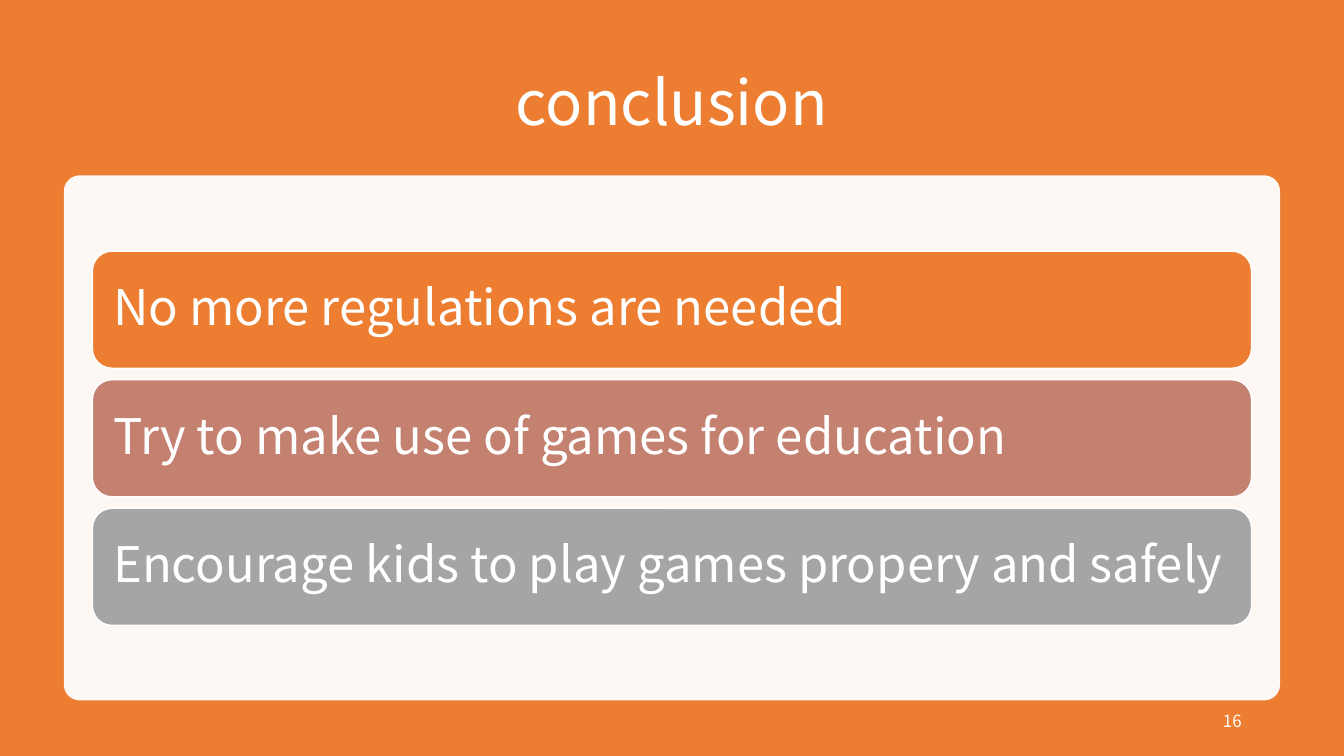
import pptx
import pptx.util
import pptx.dml.color
import pptx.enum.shapes
import pptx.enum.text
from pptx.oxml.ns import qn
from lxml import etree
from pptx.util import Cm

FONT = "Noto Sans CJK JP"
COLORS = {
    "orange": "ED7D31",
    "rose": "C48170",
    "gray": "A5A5A5",
    "white": "FFFFFF",
}
POINTS = [
    ("No more regulations are needed", "orange"),
    ("Try to make use of games for education", "rose"),
    ("Encourage kids to play games propery and safely", "gray"),
]
SHAPE = pptx.enum.shapes.MSO_SHAPE
ALIGN = pptx.enum.text.PP_ALIGN


def rgb(name):
    return pptx.dml.color.RGBColor.from_string(COLORS[name])


def add_box(s, kind, left, top, width, height, color):
    sp = s.shapes.add_shape(kind, Cm(left), Cm(top), Cm(width), Cm(height))
    sp.shadow.inherit = False
    sp.fill.solid()
    sp.fill.fore_color.rgb = rgb(color)
    sp.line.fill.background()
    return sp


def set_alpha(sp, percent):
    clr = sp.fill._xPr.find(qn("a:solidFill"))[0]
    etree.SubElement(clr, qn("a:alpha")).set("val", str(percent * 1000))


def write(sp, text, size, align, spacing=0.9):
    tf = sp.text_frame
    tf.word_wrap = True
    tf.vertical_anchor = pptx.enum.text.MSO_ANCHOR.MIDDLE
    p = tf.paragraphs[0]
    p.alignment = align
    p.line_spacing = spacing
    r = p.add_run()
    r.text = text
    r.font.name = FONT
    r.font.size = pptx.util.Pt(size)
    r.font.color.rgb = rgb("white")


def add_title(s, text):
    sp = s.shapes.title
    sp.left, sp.top, sp.width, sp.height = Cm(2.33), Cm(1.27), Cm(29.21), Cm(2.8)
    write(sp, text, 44, ALIGN.CENTER)


def add_bar(s, top, text, color):
    sp = add_box(s, SHAPE.ROUNDED_RECTANGLE, 2.33, top, 29.21, 2.95, color)
    sp.line.color.rgb = rgb("white")
    sp.line.width = pptx.util.Pt(1)
    tf = sp.text_frame
    tf.margin_left = tf.margin_right = Cm(0.38)
    write(sp, text, 35, ALIGN.LEFT)


def add_page_number(s, number):
    sp = s.shapes.add_textbox(Cm(23.92), Cm(17.66), Cm(7.62), Cm(1.01))
    write(sp, number, 12, ALIGN.RIGHT, 1)


def main():
    prs = pptx.Presentation()
    prs.slide_width, prs.slide_height = Cm(33.87), Cm(19.05)
    s = prs.slides.add_slide(prs.slide_layouts[5])

    # Orange backdrop, sent behind the title
    backdrop = add_box(s, SHAPE.RECTANGLE, 0, 0, 33.87, 19.05, "orange")
    s.shapes.element.insert(2, backdrop.element)
    add_title(s, "conclusion")

    # Pale panel
    panel = add_box(s, SHAPE.ROUNDED_RECTANGLE, 1.61, 4.42, 30.65, 13.23, "white")
    panel.adjustments[0] = 0.03
    set_alpha(panel, 95)

    # Page number and the three points
    add_page_number(s, "16")
    for i, (text, color) in enumerate(POINTS):
        add_bar(s, 6.33 + i * 3.24, text, color)

    prs.save("out.pptx")


if __name__ == "__main__":
    main()
